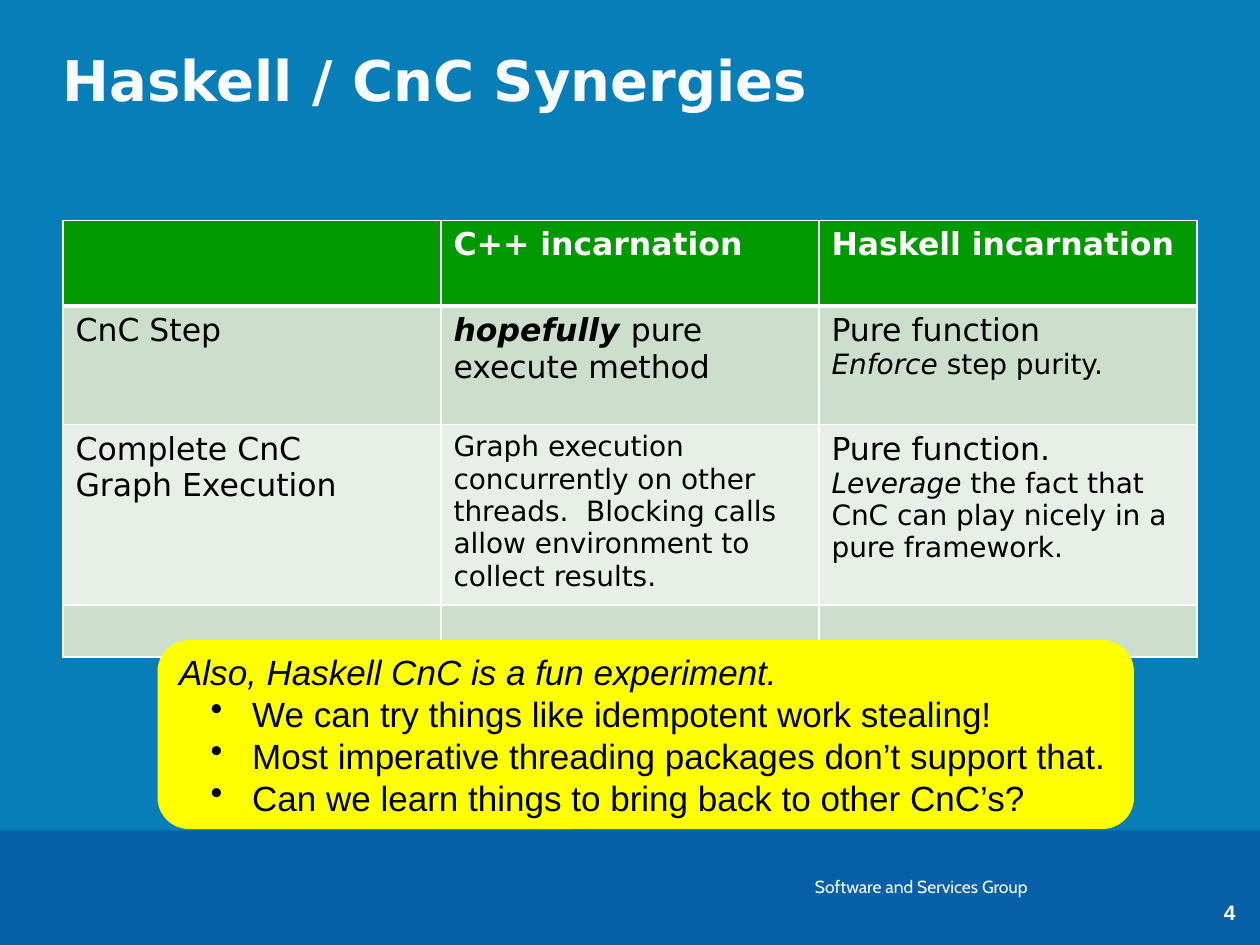
import pptx
import pptx.util
import pptx.dml.color
import pptx.enum.shapes
import pptx.enum.text
import pptx.oxml.ns
import lxml.etree

Inches = pptx.util.Inches
Anchor = pptx.enum.text.MSO_ANCHOR
Align = pptx.enum.text.PP_ALIGN
Shapes = pptx.enum.shapes.MSO_SHAPE

# Content: a cell is a list of (text, size name, style letters) spans
TITLE = "Haskell / CnC Synergies"
FOOTER = "Software and Services Group"
PAGE_NUMBER = "4"
TABLE_ROWS = [
    [[], [("C++ incarnation", "cell", "b")], [("Haskell incarnation", "cell", "b")]],
    [
        [("CnC Step", "cell", "")],
        [("hopefully ", "cell", "bi"), ("pure execute method", "cell", "")],
        [("Pure function\v", "cell", ""), ("Enforce ", "detail", "i"),
         ("step purity.", "detail", "")],
    ],
    [
        [("Complete CnC\vGraph Execution", "cell", "")],
        [("Graph execution concurrently on other threads.  Blocking calls "
          "allow environment to collect results.", "detail", "")],
        [("Pure function.\v", "cell", ""), ("Leverage ", "detail", "i"),
         ("the fact that CnC can play nicely in a pure framework.", "detail", "")],
    ],
    [[], [], []],
]
CALLOUT_LEAD = "Also, Haskell CnC is a fun experiment."
CALLOUT_BULLETS = [
    "We can try things like idempotent work stealing!",
    "Most imperative threading packages don’t support that.",
    "Can we learn things to bring back to other CnC’s?",
]

THEME = {
    "color": {
        "background": "087EB9", "band": "0860A8", "light": "F7FBFF",
        "header": "009900", "odd": "CCDECC", "even": "E7EFE7",
        "white": "FFFFFF", "black": "000000", "callout": "FFFF00",
    },
    "size": {"title": 32, "cell": 18, "detail": 16, "callout": 20,
             "footer": 10, "number": 12},
    "font": {"main": "DejaVu Sans", "callout": "Arial", "footer": "Cabin"},
}
COLUMN_WIDTH = 3
ROW_HEIGHTS = [0.68, 0.94, 1.38, 0.41]


def color(name):
    return pptx.dml.color.RGBColor.from_string(THEME["color"][name])


def set_font(font, size, face, ink, bold=False, italic=False):
    font.size = pptx.util.Pt(THEME["size"][size])
    font.name = THEME["font"][face]
    font.color.rgb = color(ink)
    font.bold = bold
    font.italic = italic


def add_block(page, preset, place, fill):
    block = page.shapes.add_shape(preset, *map(Inches, place))
    block.shadow.inherit = False
    block.fill.solid()
    block.fill.fore_color.rgb = color(fill)
    block.line.fill.background()
    return block


def add_label(page, place, text, size, face, bold=False, inset=True,
              anchor=Anchor.TOP, align=Align.LEFT):
    frame = page.shapes.add_textbox(*map(Inches, place)).text_frame
    frame.word_wrap = True
    frame.vertical_anchor = anchor
    if not inset:
        frame.margin_left = frame.margin_right = 0
        frame.margin_top = frame.margin_bottom = 0
    para = frame.paragraphs[0]
    para.text = text
    para.alignment = align
    set_font(para.font, size, face, "light", bold)


def set_borders(cell, widths):
    properties = cell._tc.get_or_add_tcPr()
    for position, (side, points) in enumerate(widths.items()):
        line = lxml.etree.Element(pptx.oxml.ns.qn(f"a:ln{side}"),
                                  w=str(pptx.util.Pt(points)))
        fill = lxml.etree.SubElement(line, pptx.oxml.ns.qn("a:solidFill"))
        lxml.etree.SubElement(fill, pptx.oxml.ns.qn("a:srgbClr"),
                              val=THEME["color"]["white"])
        properties.insert(position, line)


def add_comparison(page):
    columns = len(TABLE_ROWS[0])
    table = page.shapes.add_table(
        len(TABLE_ROWS), columns, Inches(0.5), Inches(1.75),
        Inches(COLUMN_WIDTH * columns), Inches(sum(ROW_HEIGHTS))).table
    for column in table.columns:
        column.width = Inches(COLUMN_WIDTH)
    for row_index, row in enumerate(TABLE_ROWS):
        table.rows[row_index].height = Inches(ROW_HEIGHTS[row_index])
        fill = "header" if row_index == 0 else "odd" if row_index % 2 else "even"
        widths = {"L": 1, "R": 1, "T": 3 if row_index == 1 else 1,
                  "B": 3 if row_index == 0 else 1}
        for column_index, spans in enumerate(row):
            cell = table.cell(row_index, column_index)
            cell.fill.solid()
            cell.fill.fore_color.rgb = color(fill)
            set_borders(cell, widths)
            para = cell.text_frame.paragraphs[0]
            for text, size, style in spans:
                # A vertical tab marks a line break after the span's piece
                for piece_index, piece in enumerate(text.split("\v")):
                    if piece_index:
                        para.add_line_break()
                    if piece:
                        span = para.add_run()
                        span.text = piece
                        set_font(span.font, size, "main",
                                 "black" if row_index else "white",
                                 "b" in style, "i" in style)


def add_callout(page):
    box = add_block(page, Shapes.ROUNDED_RECTANGLE, (1.25, 5.08, 7.75, 1.5), "callout")
    frame = box.text_frame
    frame.word_wrap = False
    frame.vertical_anchor = Anchor.MIDDLE
    for index, text in enumerate([CALLOUT_LEAD] + CALLOUT_BULLETS):
        para = frame.add_paragraph() if index else frame.paragraphs[0]
        para.text = text
        para.alignment = Align.LEFT
        if index:
            para.level = 1
            properties = para._p.get_or_add_pPr()
            properties.set("marL", str(Inches(0.58)))
            properties.set("indent", str(Inches(-0.33)))
            lxml.etree.SubElement(properties, pptx.oxml.ns.qn("a:buChar"), char="•")
        set_font(para.font, "callout", "callout", "black", italic=index == 0)


def main():
    deck = pptx.Presentation()
    deck.slide_width, deck.slide_height = Inches(10), Inches(7.5)
    page = deck.slides.add_slide(deck.slide_layouts[6])
    page.background.fill.solid()
    page.background.fill.fore_color.rgb = color("background")

    # Footer band, group name and page number
    add_block(page, Shapes.RECTANGLE, (0, 6.59, 10, 0.91), "band")
    add_label(page, (6.37, 6.9, 2.17, 0.27), FOOTER, "footer", "footer")
    add_label(page, (9.52, 6.76, 0.48, 0.58), PAGE_NUMBER, "number", "callout",
              bold=True, inset=False, anchor=Anchor.BOTTOM, align=Align.CENTER)

    # Title, comparison table and the callout over its lower edge
    add_label(page, (0.5, 0.36, 9, 0.99), TITLE, "title", "main",
              bold=True, inset=False)
    add_comparison(page)
    add_callout(page)
    deck.save("out.pptx")


if __name__ == "__main__":
    main()
